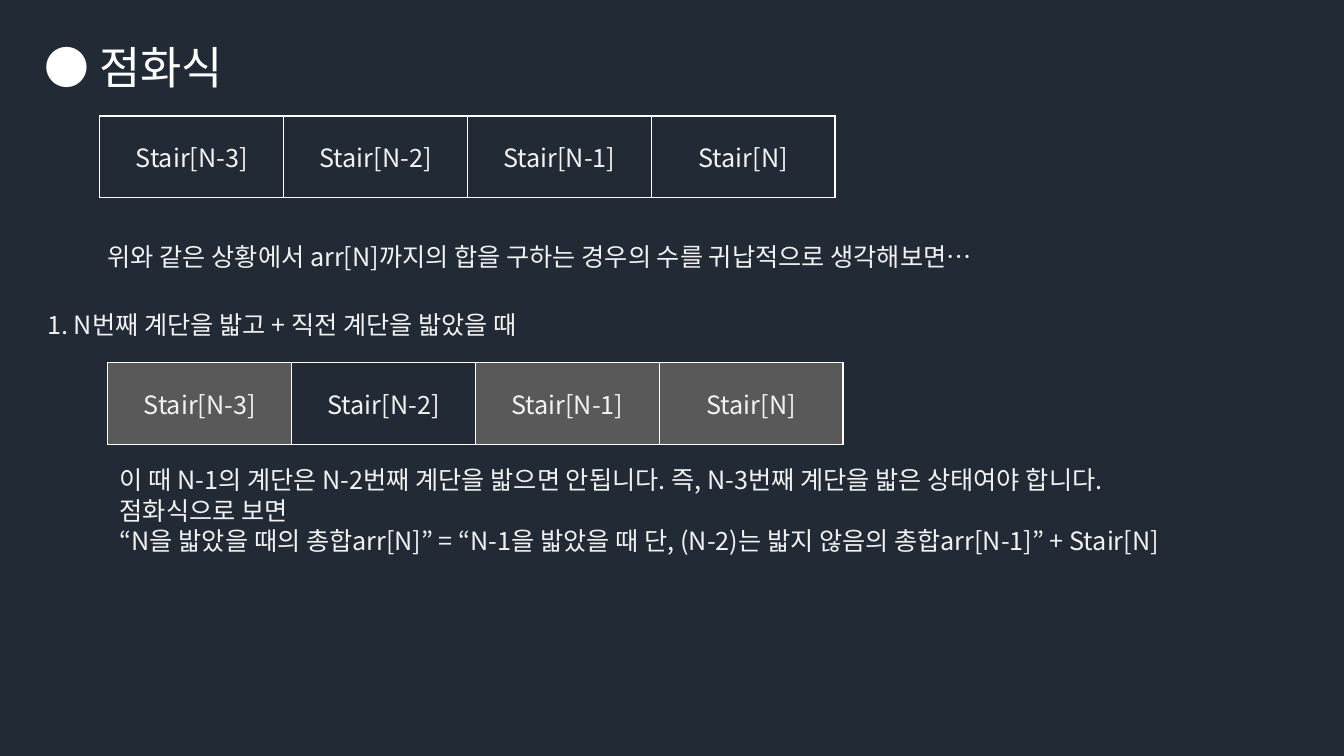
"""Build the slide that explains the recurrence for the stair problem."""
import pptx
import pptx.dml.color
import pptx.enum.text
import pptx.oxml
import pptx.oxml.ns
import pptx.util

FONT = "Noto Sans CJK KR"
PAPER, TITLE, INK, STEPPED = "222A35", "FFFFFF", "F2F2F2", "595959"
STAIRS = ["Stair[N-3]", "Stair[N-2]", "Stair[N-1]", "Stair[N]"]
STAIR_WIDTH, STAIR_HEIGHT = 18.23, 8.1


def color(value):
    return pptx.dml.color.RGBColor.from_string(value)


def write(frame, text, size=18, ink=INK, align=pptx.enum.text.PP_ALIGN.LEFT, spacing=None):
    frame.text = text
    for paragraph in frame.paragraphs:
        paragraph.alignment = align
        paragraph.line_spacing = spacing
        for run in paragraph.runs:
            run.font.size = pptx.util.Pt(size)
            run.font.name = FONT
            run.font.color.rgb = color(ink)
            east_asian = pptx.oxml.parse_xml(
                f'<a:ea {pptx.oxml.ns.nsdecls("a")} typeface="{FONT}"/>')
            run.font._element.find(pptx.oxml.ns.qn("a:latin")).addnext(east_asian)


class Board:
    """Holds the current slide and a grid of tenths of an inch."""

    def __init__(self, deck):
        self.slide = deck.slides.add_slide(deck.slide_layouts[6])
        self.slide.background.fill.solid()
        self.slide.background.fill.fore_color.rgb = color(PAPER)

    def grid(self, *cells):
        return [pptx.util.Inches(cell / 10) for cell in cells]

    def text(self, column, row, width, height, words, **style):
        frame = self.slide.shapes.add_textbox(*self.grid(column, row, width, height)).text_frame
        frame.word_wrap = True
        write(frame, words, **style)

    def border(self, cell):
        properties = cell._tc.get_or_add_tcPr()
        for position, side in enumerate(("lnL", "lnR", "lnT", "lnB")):
            properties.insert(position, pptx.oxml.parse_xml(
                f'<a:{side} {pptx.oxml.ns.nsdecls("a")} w="12700"><a:solidFill>'
                f'<a:srgbClr val="{TITLE}"/></a:solidFill></a:{side}>'))

    def stairs(self, column, row, stepped=()):
        place = self.grid(column, row, STAIR_WIDTH * len(STAIRS), STAIR_HEIGHT)
        table = self.slide.shapes.add_table(1, len(STAIRS), *place).table
        table.first_row = table.horz_banding = False
        for index, stair in enumerate(STAIRS):
            cell = table.cell(0, index)
            cell.vertical_anchor = pptx.enum.text.MSO_ANCHOR.MIDDLE
            write(cell.text_frame, stair, align=pptx.enum.text.PP_ALIGN.CENTER)
            if stair in stepped:
                cell.fill.solid()
                cell.fill.fore_color.rgb = color(STEPPED)
            else:
                cell.fill.background()
            self.border(cell)


deck = pptx.Presentation()
deck.slide_width, deck.slide_height = pptx.util.Inches(13.33), pptx.util.Inches(7.5)
board = Board(deck)
board.text(3.4, 3.4, 32.1, 6.4, "● 점화식", size=32, ink=TITLE)
board.stairs(9.9, 11.5)
board.text(9.7, 23.4, 99.1, 4,
           "위와 같은 상황에서 arr[N]까지의 합을 구하는 경우의 수를 귀납적으로 생각해보면…")
board.text(3.7, 30.2, 99.1, 4, "1. N번째 계단을 밟고 + 직전 계단을 밟았을 때")
board.stairs(10.7, 36, stepped=("Stair[N-3]", "Stair[N-1]", "Stair[N]"))
board.text(10.9, 45.6, 113.3, 10.1, "\n".join([
    "이 때 N-1의 계단은 N-2번째 계단을 밟으면 안됩니다. 즉, N-3번째 계단을 밟은 상태여야 합니다.",
    "점화식으로 보면",
    "“N을 밟았을 때의 총합arr[N]” = “N-1을 밟았을 때 단, (N-2)는 밟지 않음의 총합arr[N-1]” + Stair[N]"]))
deck.save("out.pptx")
